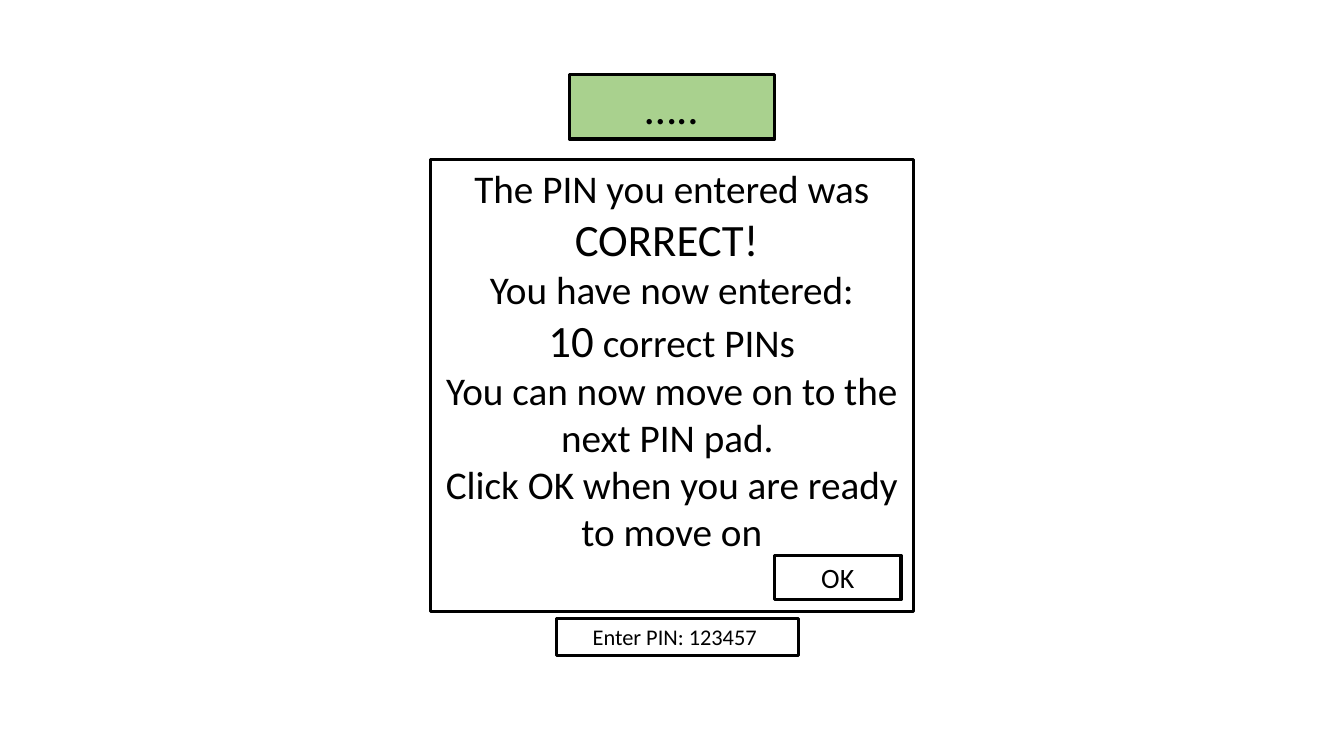
from pptx import Presentation
from pptx.dml.color import RGBColor
from pptx.enum.shapes import MSO_SHAPE
from pptx.enum.text import MSO_ANCHOR, PP_ALIGN
from pptx.util import Pt

RECTANGLE = MSO_SHAPE.RECTANGLE
TOP = MSO_ANCHOR.TOP
CENTER = PP_ALIGN.CENTER

PX = 4572  # EMU per px, 200 px to the inch
THEME = {
    "font": "Calibri",
    "ink": RGBColor(0x00, 0x00, 0x00),
    "paper": RGBColor(0xFF, 0xFF, 0xFF),
    "green": RGBColor(0xA9, 0xD1, 0x8E),
    "border": Pt(2.25),
    "large": Pt(32),
    "body": Pt(28),
    "button": Pt(20),
    "prompt": Pt(16),
}

presentation = Presentation()
presentation.slide_width = 2667 * PX
presentation.slide_height = 1500 * PX
slide = presentation.slides.add_slide(presentation.slide_layouts[6])


def add_run(paragraph, text, size="body"):
    run = paragraph.add_run()
    run.text = text
    run.font.name = THEME["font"]
    run.font.size = THEME[size]
    run.font.color.rgb = THEME["ink"]


def add_box(left, top, width, height, paragraphs, fill=None):
    """Draw a bordered box; each paragraph is a list of (text, size), None breaks the line."""
    shape = slide.shapes.add_shape(RECTANGLE, left * PX, top * PX, width * PX, height * PX)
    shape.shadow.inherit = False
    if fill:
        shape.fill.solid()
        shape.fill.fore_color.rgb = THEME[fill]
    else:
        shape.fill.background()
    shape.line.color.rgb = THEME["ink"]
    shape.line.width = THEME["border"]
    frame = shape.text_frame
    frame.word_wrap = True
    frame.vertical_anchor = TOP
    for index, runs in enumerate(paragraphs):
        paragraph = frame.add_paragraph() if index else frame.paragraphs[0]
        paragraph.alignment = CENTER
        for run in runs:
            if run is None:
                paragraph.add_line_break()
            else:
                add_run(paragraph, *run)


# PIN display and entry prompt
add_box(1130, 148, 407, 128, [[("…..", "large")]], fill="green")
add_box(1104, 1227, 480, 74, [[("Enter PIN: 123457 ", "prompt")]])

# Message dialog
add_box(854, 317, 958, 897, [
    [("The PIN you entered was ", "body"), ("CORRECT! ", "large")],
    [("You have now entered:", "body")],
    [("10", "large"), (" correct PINs", "body"), None,
     ("You can now move on to the next PIN pad. ", "body")],
    [("Click OK when you are ready to move on", "body")],
], fill="paper")

# Confirmation button
add_box(1537, 1102, 251, 88, [[("OK", "button")]])

presentation.save("out.pptx")
